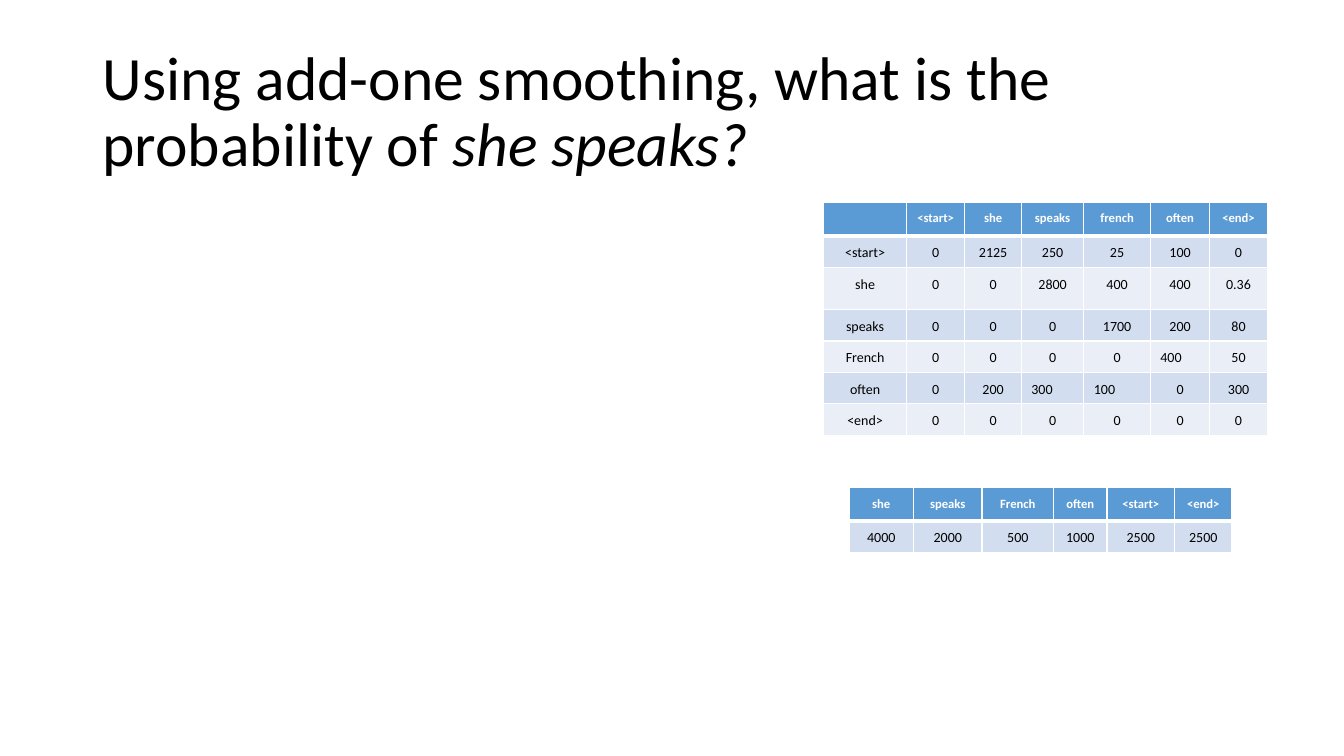
import pptx
import pptx.dml.color
import pptx.enum.text
import pptx.oxml.ns
import pptx.util
import lxml.etree

Inches = pptx.util.Inches
Pt = pptx.util.Pt
ALIGN = pptx.enum.text.PP_ALIGN

FONT = "Calibri"
BLACK, WHITE = "000000", "FFFFFF"
HEADER_FILL = "5B9BD5"
BAND_FILLS = ("D2DEEF", "EAEFF7")

QUESTION = [
    ("Using add-one smoothing, what is the probability of ", False),
    ("she speaks?", True),
]
UNIGRAMS = {
    "place": (8.42, 4.84),
    "widths": (0.64, 0.68, 0.71, 0.53, 0.67, 0.57),
    "heights": (0.33, 0.31),
    "rows": [
        ("she", "speaks", "French", "often", "<start>", "<end>"),
        ("4000", "2000", "500", "1000", "2500", "2500"),
    ],
    "left_aligned": (),
}
BIGRAMS = {
    "place": (8.17, 2.01),
    "widths": (0.82, 0.58, 0.56, 0.62, 0.66, 0.59, 0.57),
    "heights": (0.33, 0.31, 0.42, 0.31, 0.31, 0.31, 0.31),
    "rows": [
        ("", "<start>", "she", "speaks", "french", "often", "<end>"),
        ("<start>", "0", "2125", "250", "25", "100", "0"),
        ("she", "0", "0", "2800", "400", "400", "0.36"),
        ("speaks", "0", "0", "0", "1700", "200", "80"),
        ("French", "0", "0", "0", "0", "400", "50"),
        ("often", "0", "200", "300", "100", "0", "300"),
        ("<end>", "0", "0", "0", "0", "0", "0"),
    ],
    "left_aligned": ((4, 5), (5, 3), (5, 4)),
}


def color(value):
    return pptx.dml.color.RGBColor.from_string(value)


def add_run(paragraph, words, size, ink, bold=False, italic=False):
    run = paragraph.add_run()
    run.text = words
    run.font.name = FONT
    run.font.size = Pt(size)
    run.font.color.rgb = color(ink)
    run.font.bold = bold
    run.font.italic = italic


def add_borders(cell, top, bottom):
    qn = pptx.oxml.ns.qn
    properties = cell._tc.get_or_add_tcPr()
    for side, points in (("L", 1), ("R", 1), ("T", top), ("B", bottom)):
        line = lxml.etree.SubElement(properties, qn("a:ln" + side), w=str(Pt(points)))
        fill = lxml.etree.SubElement(line, qn("a:solidFill"))
        lxml.etree.SubElement(fill, qn("a:srgbClr"), val=WHITE)


def add_counts(slide, counts):
    rows, widths, heights = counts["rows"], counts["widths"], counts["heights"]
    left, top = counts["place"]
    table = slide.shapes.add_table(
        len(rows), len(widths), Inches(left), Inches(top),
        Inches(sum(widths)), Inches(sum(heights))).table
    for column, width in zip(table.columns, widths):
        column.width = Inches(width)
    for r, (row, height) in enumerate(zip(rows, heights)):
        table.rows[r].height = Inches(height)
        header = r == 0
        for c, words in enumerate(row):
            cell = table.cell(r, c)
            add_borders(cell, 3 if r == 1 else 1, 3 if header else 1)
            cell.fill.solid()
            cell.fill.fore_color.rgb = color(HEADER_FILL if header else BAND_FILLS[(r - 1) % 2])
            cell.margin_left = cell.margin_right = Inches(0.1)
            cell.margin_top = cell.margin_bottom = Inches(0.06 if words else 0)
            if not words:
                continue
            paragraph = cell.text_frame.paragraphs[0]
            paragraph.line_spacing = 1.15
            paragraph.alignment = ALIGN.LEFT if (r, c) in counts["left_aligned"] else ALIGN.CENTER
            add_run(paragraph, words, 9 if header else 10, WHITE if header else BLACK, bold=header)


def add_question(slide):
    frame = slide.shapes.add_textbox(
        Inches(0.92), Inches(0.4), Inches(11.5), Inches(1.45)).text_frame
    frame.word_wrap = True
    frame.vertical_anchor = pptx.enum.text.MSO_ANCHOR.MIDDLE
    paragraph = frame.paragraphs[0]
    paragraph.line_spacing = 0.9
    for words, italic in QUESTION:
        add_run(paragraph, words, 44, BLACK, italic=italic)


def main():
    deck = pptx.Presentation()
    deck.slide_width = Inches(13.33)
    deck.slide_height = Inches(7.5)
    slide = deck.slides.add_slide(deck.slide_layouts[6])
    add_question(slide)
    for counts in (UNIGRAMS, BIGRAMS):
        add_counts(slide, counts)
    deck.save("out.pptx")


if __name__ == "__main__":
    main()
